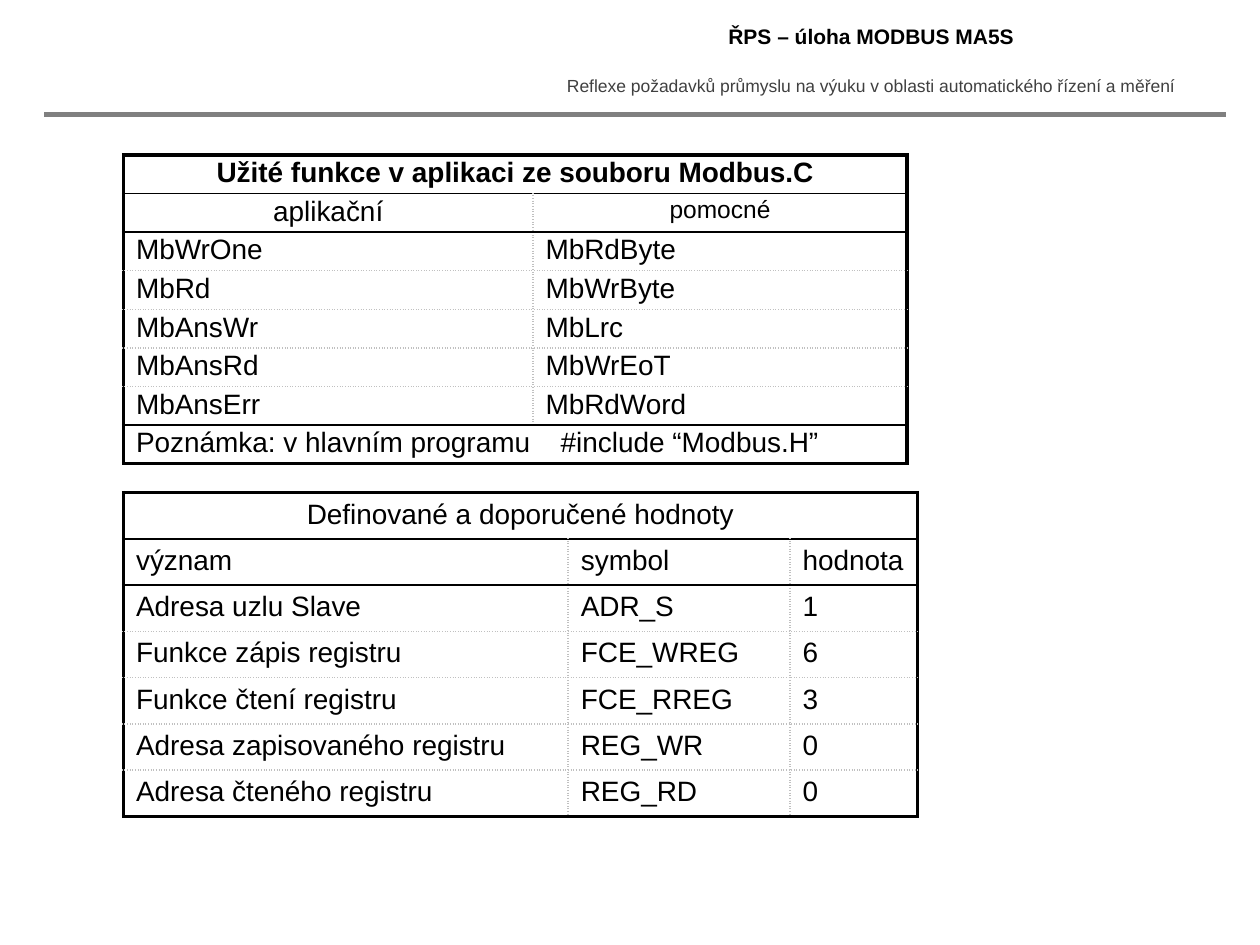
from dataclasses import dataclass

from lxml.etree import SubElement
from pptx import Presentation
from pptx.dml.color import RGBColor
from pptx.enum.shapes import MSO_CONNECTOR
from pptx.enum.text import PP_ALIGN
from pptx.oxml.ns import qn
from pptx.util import Inches, Pt


@dataclass(frozen=True)
class Theme:
    font: str = "Arial"
    ink: str = "000000"
    soft: str = "404040"
    rule: str = "808080"
    dots: str = "C0C0C0"
    body: float = 16
    minor: float = 14
    title: float = 12
    motto: float = 10
    lead: float = 0.8


@dataclass(frozen=True)
class Edge:
    color: str
    width: float
    dash: str = "solid"


@dataclass(frozen=True)
class Label:
    text: str
    box: tuple[float, float, float, float]
    size: float
    color: str
    bold: bool = False


@dataclass(frozen=True)
class Grid:
    left: float
    top: float
    height: float
    cols: tuple[float, ...]
    rows: tuple[tuple[str, ...], ...]
    lines: tuple[int, ...]
    center: tuple[int, ...]
    pad: float
    bold: tuple[int, ...] = ()
    minor: tuple[tuple[int, int], ...] = ()
    stop: float = 0


THEME = Theme()
OUTER = Edge(THEME.ink, 2.25)
INNER = Edge(THEME.ink, 1)
DOTTED = Edge(THEME.dots, 1, "sysDot")

LABELS = (
    Label("Reflexe požadavků průmyslu na výuku v oblasti automatického řízení a měření",
          (4.3, 0.55, 5.22, 0.27), THEME.motto, THEME.soft),
    Label("ŘPS – úloha MODBUS MA5S", (4.3, 0.14, 5.23, 0.31),
          THEME.title, THEME.ink, True),
)

GRIDS = (
    Grid(0.98, 1.23, 2.45, (3.25, 2.97), (
        ("Užité funkce v aplikaci ze souboru Modbus.C",),
        ("aplikační", "pomocné"),
        ("MbWrOne", "MbRdByte"),
        ("MbRd", "MbWrByte"),
        ("MbAnsWr", "MbLrc"),
        ("MbAnsRd", "MbWrEoT"),
        ("MbAnsErr", "MbRdWord"),
        ("Poznámka: v hlavním programu\t#include “Modbus.H”",),
    ), lines=(1, 2, 7), center=(0, 1), pad=0.02, bold=(0,),
        minor=((1, 1),), stop=3.37),
    Grid(0.98, 3.91, 2.57, (3.53, 1.76, 1.01), (
        ("Definované a doporučené hodnoty",),
        ("význam", "symbol", "hodnota"),
        ("Adresa uzlu Slave", "ADR_S", "1"),
        ("Funkce zápis registru", "FCE_WREG", "6"),
        ("Funkce čtení registru", "FCE_RREG", "3"),
        ("Adresa zapisovaného registru", "REG_WR", "0"),
        ("Adresa čteného registru", "REG_RD", "0"),
    ), lines=(1, 2), center=(0,), pad=0.05),
)


def assign(target, values: dict) -> None:
    for name, value in values.items():
        setattr(target, name, value)


def write(para, text: str, size: float, color: str, bold: bool, center: bool) -> None:
    para.alignment = PP_ALIGN.CENTER if center else PP_ALIGN.LEFT
    run = para.add_run()
    run.text = text
    assign(run.font, {"name": THEME.font, "size": Pt(size), "bold": bold})
    run.font.color.rgb = RGBColor.from_string(color)


def draw_label(slide, label: Label) -> None:
    frame = slide.shapes.add_textbox(*map(Inches, label.box)).text_frame
    frame.word_wrap = True
    write(frame.paragraphs[0], label.text, label.size, label.color, label.bold, True)


def draw_rule(slide) -> None:
    line = slide.shapes.add_connector(
        MSO_CONNECTOR.STRAIGHT, Inches(0.35), Inches(0.91), Inches(9.73), Inches(0.91))
    line.line.color.rgb = RGBColor.from_string(THEME.rule)
    line.line.width = Pt(3)
    SubElement(line._element.spPr, qn("a:effectLst"))


def draw_edge(cell, side: str, edge: Edge) -> None:
    line = SubElement(cell._tc.get_or_add_tcPr(), qn(f"a:ln{side}"), w=str(Pt(edge.width)))
    fill = SubElement(line, qn("a:solidFill"))
    SubElement(fill, qn("a:srgbClr"), val=edge.color)
    SubElement(line, qn("a:prstDash"), val=edge.dash)


def row_edge(grid: Grid, index: int) -> Edge:
    if index in (0, len(grid.rows)):
        return OUTER
    return INNER if index in grid.lines else DOTTED


def frame_cell(cell, grid: Grid, row: int, col: int) -> None:
    wide = len(grid.rows[row]) == 1
    last = col == len(grid.cols) - 1
    if col == 0 or not wide:
        draw_edge(cell, "L", DOTTED if col else OUTER)
    if last or col == 0 or not wide:
        draw_edge(cell, "R", OUTER if last or wide else DOTTED)
    draw_edge(cell, "T", row_edge(grid, row))
    draw_edge(cell, "B", row_edge(grid, row + 1))
    cell.fill.background()


def fill_cell(cell, grid: Grid, row: int, col: int) -> None:
    text = grid.rows[row][col]
    para = cell.text_frame.paragraphs[0]
    para.space_before = Pt(THEME.lead)
    size = THEME.minor if (row, col) in grid.minor else THEME.body
    write(para, text, size, THEME.ink, row in grid.bold, row in grid.center)
    if "\t" in text:
        tabs = SubElement(para._p.get_or_add_pPr(), qn("a:tabLst"))
        SubElement(tabs, qn("a:tab"), pos=str(Inches(grid.stop)), algn="l")


def draw_grid(slide, grid: Grid) -> None:
    count, span = len(grid.rows), len(grid.cols)
    table = slide.shapes.add_table(
        count, span, Inches(grid.left), Inches(grid.top),
        Inches(sum(grid.cols)), Inches(grid.height)).table
    assign(table, {"first_row": False, "horz_banding": False})
    for col, width in zip(table.columns, grid.cols):
        col.width = Inches(width)
    pads = {"margin_left": Inches(0.1), "margin_right": Inches(0.1),
            "margin_top": Inches(grid.pad), "margin_bottom": Inches(grid.pad)}
    for row, texts in enumerate(grid.rows):
        table.rows[row].height = Inches(grid.height / count)
        if len(texts) == 1:
            table.cell(row, 0).merge(table.cell(row, span - 1))
        for col in range(span):
            cell = table.cell(row, col)
            assign(cell, pads)
            frame_cell(cell, grid, row, col)
            if col < len(texts):
                fill_cell(cell, grid, row, col)


def main() -> None:
    deck = Presentation()
    assign(deck, {"slide_width": Inches(10), "slide_height": Inches(7.5)})
    slide = deck.slides.add_slide(deck.slide_layouts[6])
    draw_rule(slide)
    for label in LABELS:
        draw_label(slide, label)
    for grid in GRIDS:
        draw_grid(slide, grid)
    deck.save("out.pptx")


if __name__ == "__main__":
    main()
